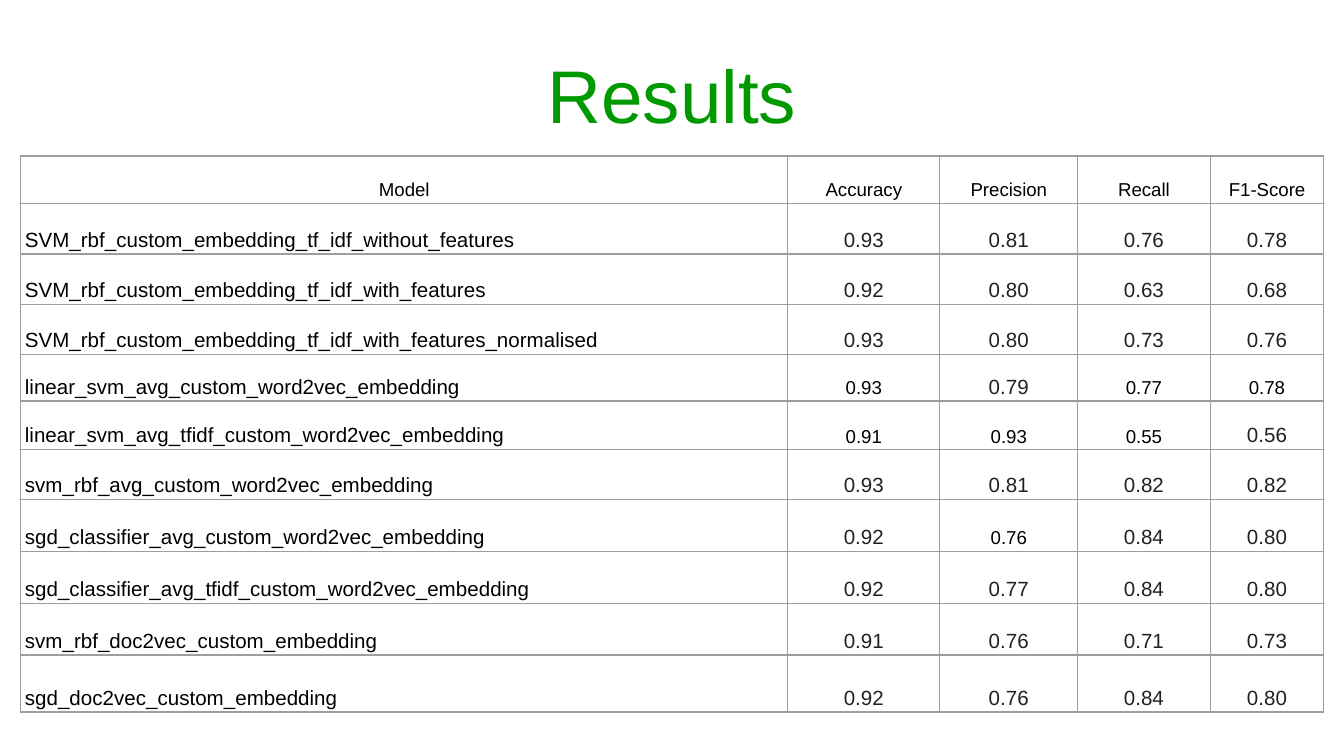
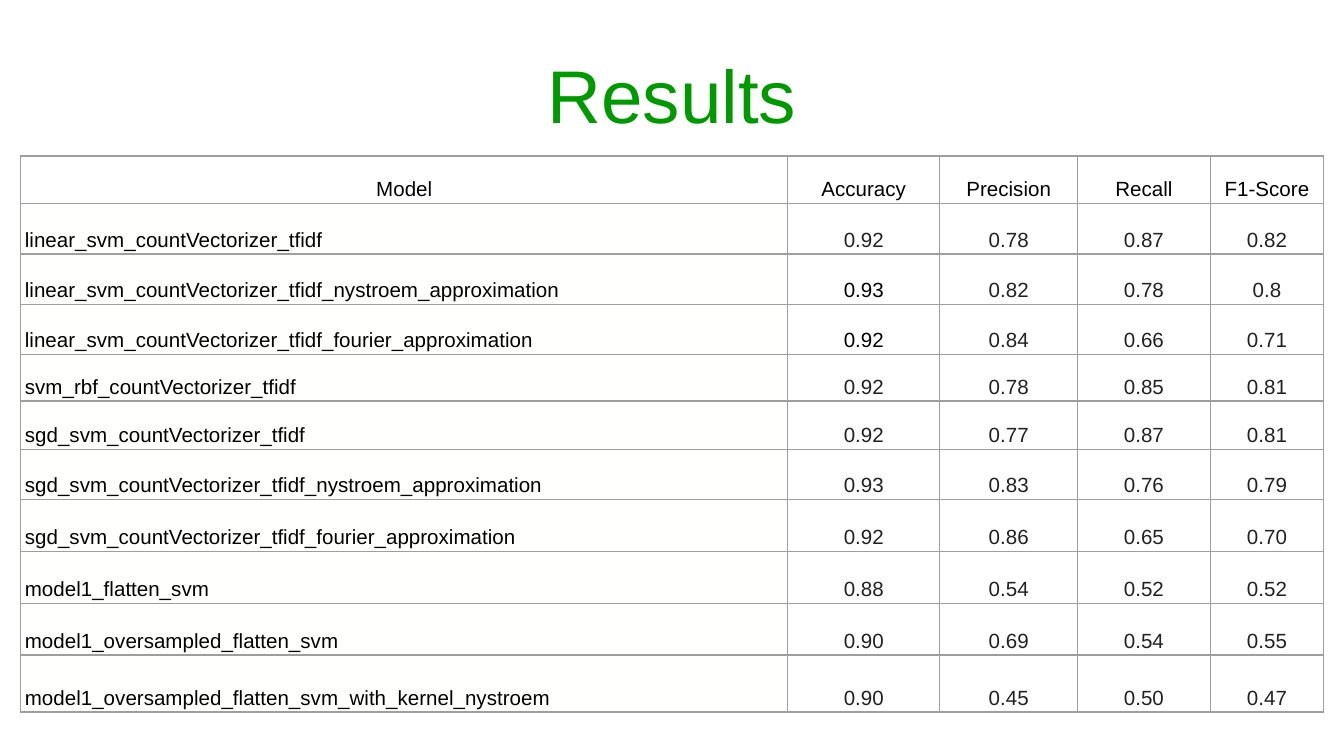
from dataclasses import dataclass

from lxml import etree
from pptx import Presentation
from pptx.dml.color import RGBColor
from pptx.enum.text import MSO_ANCHOR, PP_ALIGN
from pptx.oxml.ns import qn
from pptx.util import Cm, Pt

LEFT, CENTER = PP_ALIGN.LEFT, PP_ALIGN.CENTER
MIDDLE, BOTTOM = MSO_ANCHOR.MIDDLE, MSO_ANCHOR.BOTTOM

COLUMN_WIDTHS = [14.5, 2.87, 2.61, 2.5, 2.15]
ROW_HEIGHTS = [0.89, 0.96, 0.96, 0.94, 0.88, 0.92, 0.94, 0.98, 0.98, 0.98, 1.08]
HEADINGS = ["Model", "Accuracy", "Precision", "Recall", "F1-Score"]

EMBEDDING_RESULTS = [
    ["SVM_rbf_custom_embedding_tf_idf_without_features", "0.93", "0.81", "0.76", "0.78"],
    ["SVM_rbf_custom_embedding_tf_idf_with_features", "0.92", "0.80", "0.63", "0.68"],
    ["SVM_rbf_custom_embedding_tf_idf_with_features_normalised", "0.93", "0.80", "0.73", "0.76"],
    ["linear_svm_avg_custom_word2vec_embedding", "0.93", "0.79", "0.77", "0.78"],
    ["linear_svm_avg_tfidf_custom_word2vec_embedding", "0.91", "0.93", "0.55", "0.56"],
    ["svm_rbf_avg_custom_word2vec_embedding", "0.93", "0.81", "0.82", "0.82"],
    ["sgd_classifier_avg_custom_word2vec_embedding", "0.92", "0.76", "0.84", "0.80"],
    ["sgd_classifier_avg_tfidf_custom_word2vec_embedding", "0.92", "0.77", "0.84", "0.80"],
    ["svm_rbf_doc2vec_custom_embedding", "0.91", "0.76", "0.71", "0.73"],
    ["sgd_doc2vec_custom_embedding", "0.92", "0.76", "0.84", "0.80"],
]
EMBEDDING_BLACK_CELLS = {(4, 1), (4, 3), (4, 4), (5, 1), (5, 2), (5, 3), (7, 2)}

VECTORIZER_RESULTS = [
    ["linear_svm_countVectorizer_tfidf", "0.92", "0.78", "0.87", "0.82"],
    ["linear_svm_countVectorizer_tfidf_nystroem_approximation", "0.93", "0.82", "0.78", "0.8"],
    ["linear_svm_countVectorizer_tfidf_fourier_approximation", "0.92", "0.84", "0.66", "0.71"],
    ["svm_rbf_countVectorizer_tfidf", "0.92", "0.78", "0.85", "0.81"],
    ["sgd_svm_countVectorizer_tfidf", "0.92", "0.77", "0.87", "0.81"],
    ["sgd_svm_countVectorizer_tfidf_nystroem_approximation", "0.93", "0.83", "0.76", "0.79"],
    ["sgd_svm_countVectorizer_tfidf_fourier_approximation", "0.92", "0.86", "0.65", "0.70"],
    ["model1_flatten_svm", "0.88", "0.54", "0.52", "0.52"],
    ["model1_oversampled_flatten_svm", "0.90", "0.69", "0.54", "0.55"],
    ["model1_oversampled_flatten_svm_with_kernel_nystroem", "0.90", "0.45", "0.50", "0.47"],
]
VECTORIZER_BLACK_CELLS = {(2, 1), (3, 1)}


@dataclass(frozen=True)
class Theme:
    font: str = "Arial"
    title_color: str = "009900"
    text_color: str = "000000"
    score_color: str = "212121"
    border_color: str = "9E9E9E"
    model_fill: str = "FFFFFE"
    score_fill: str = "FFFFFF"
    title_size: float = 40
    body_size: float = 11
    small_size: float = 10
    border_width: float = 0.75
    line_spacing: float = 1.15


class Deck:
    def __init__(self, theme):
        self.theme = theme
        self.presentation = Presentation()
        self.presentation.slide_width = Cm(25.4)
        self.presentation.slide_height = Cm(14.29)
        self.slide = None

    def add_slide(self):
        self.slide = self.presentation.slides.add_slide(self.presentation.slide_layouts[6])

    def add_run(self, paragraph, text, size, color):
        run = paragraph.add_run()
        run.text = text
        run.font.name = self.theme.font
        run.font.size = Pt(size)
        run.font.bold = False
        run.font.color.rgb = RGBColor.from_string(color)

    def add_title(self, text):
        shape = self.slide.shapes.add_textbox(Cm(1.27), Cm(0.58), Cm(22.86), Cm(2.39))
        frame = shape.text_frame
        frame.word_wrap = True
        frame.vertical_anchor = MIDDLE
        paragraph = frame.paragraphs[0]
        paragraph.alignment = CENTER
        self.add_run(paragraph, text, self.theme.title_size, self.theme.title_color)

    def add_borders(self, cell):
        properties = cell._tc.get_or_add_tcPr()
        for side in ("lnL", "lnR", "lnT", "lnB"):
            line = etree.SubElement(properties, qn(f"a:{side}"), w=str(Pt(self.theme.border_width)))
            fill = etree.SubElement(line, qn("a:solidFill"))
            etree.SubElement(fill, qn("a:srgbClr"), val=self.theme.border_color)

    def fill_cell(self, cell, text, size, color, alignment, fill):
        cell.vertical_anchor = BOTTOM
        cell.margin_left = cell.margin_right = Cm(0.08)
        cell.margin_top = cell.margin_bottom = Cm(0.05)
        self.add_borders(cell)
        if fill:
            cell.fill.solid()
            cell.fill.fore_color.rgb = RGBColor.from_string(fill)
        else:
            cell.fill.background()
        paragraph = cell.text_frame.paragraphs[0]
        paragraph.alignment = alignment
        paragraph.line_spacing = self.theme.line_spacing
        self.add_run(paragraph, text, size, color)

    def add_results_table(self, results, black_cells, accent_size):
        theme = self.theme
        rows = [HEADINGS, *results]
        table = self.slide.shapes.add_table(
            len(rows), len(HEADINGS), Cm(0.39), Cm(2.95),
            Cm(sum(COLUMN_WIDTHS)), Cm(sum(ROW_HEIGHTS)),
        ).table
        table.first_row = table.horz_banding = False
        for column, width in zip(table.columns, COLUMN_WIDTHS):
            column.width = Cm(width)
        for row, height in zip(table.rows, ROW_HEIGHTS):
            row.height = Cm(height)
        for row_index, values in enumerate(rows):
            for column_index, text in enumerate(values):
                if row_index == 0 or (row_index, column_index) in black_cells:
                    style = (accent_size, theme.text_color, CENTER, None)
                elif column_index == 0:
                    style = (theme.body_size, theme.text_color, LEFT, theme.model_fill)
                else:
                    style = (theme.body_size, theme.score_color, CENTER, theme.score_fill)
                self.fill_cell(table.cell(row_index, column_index), text, *style)


def main():
    theme = Theme()
    deck = Deck(theme)
    for results, black_cells, accent_size in (
        (EMBEDDING_RESULTS, EMBEDDING_BLACK_CELLS, theme.small_size),
        (VECTORIZER_RESULTS, VECTORIZER_BLACK_CELLS, theme.body_size),
    ):
        deck.add_slide()
        deck.add_title("Results")
        deck.add_results_table(results, black_cells, accent_size)
    deck.presentation.save("out.pptx")


if __name__ == "__main__":
    main()
